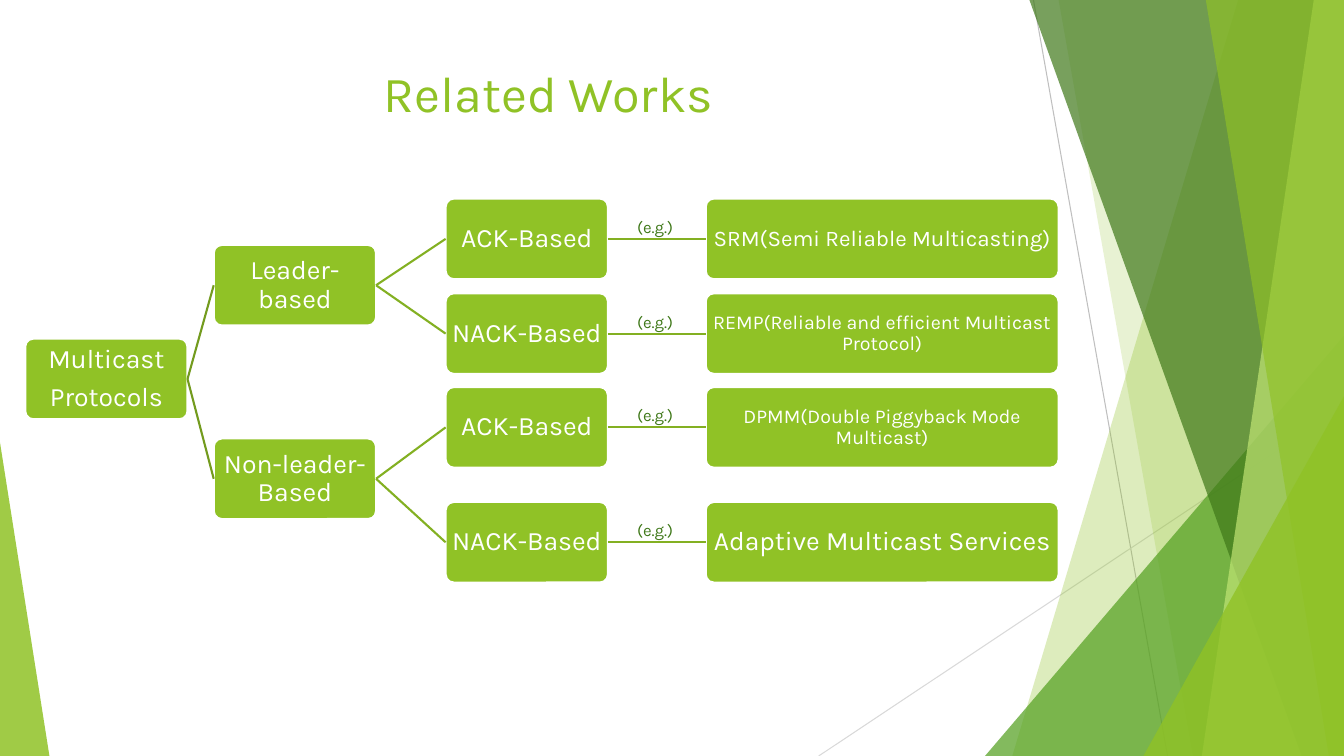
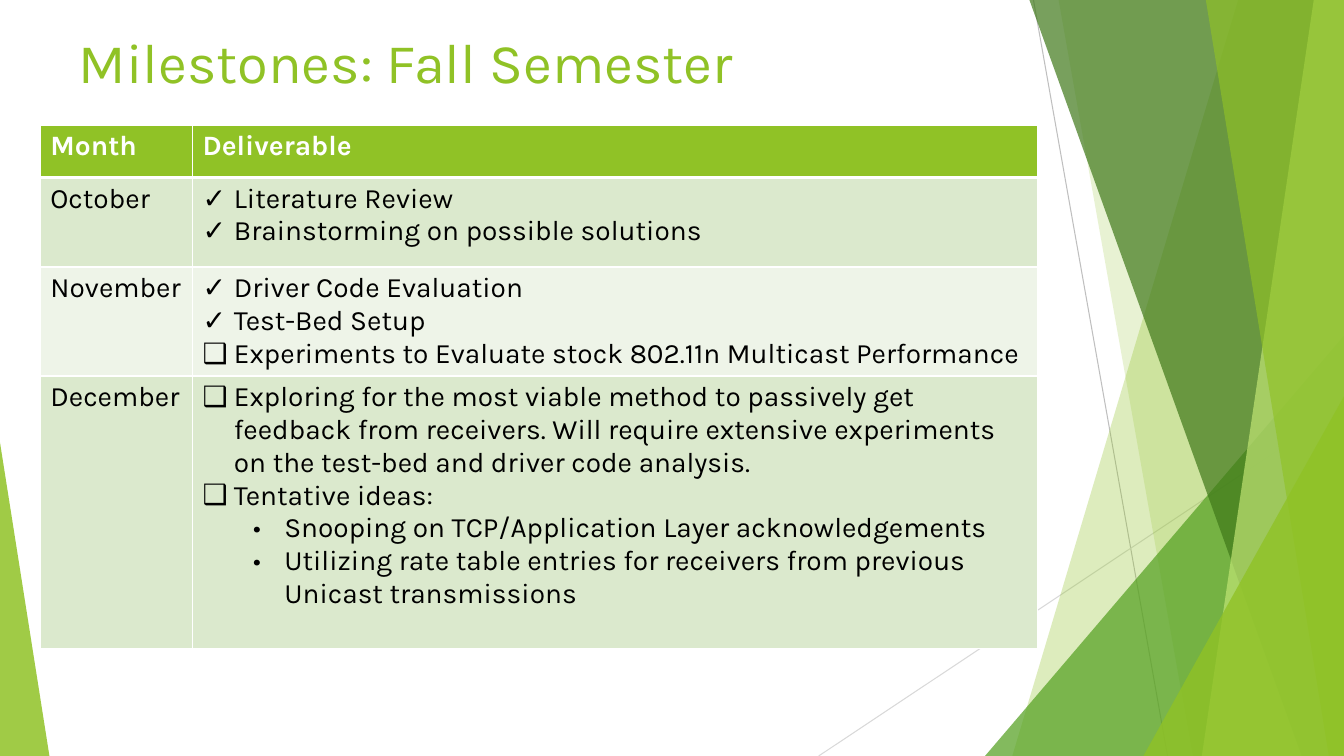
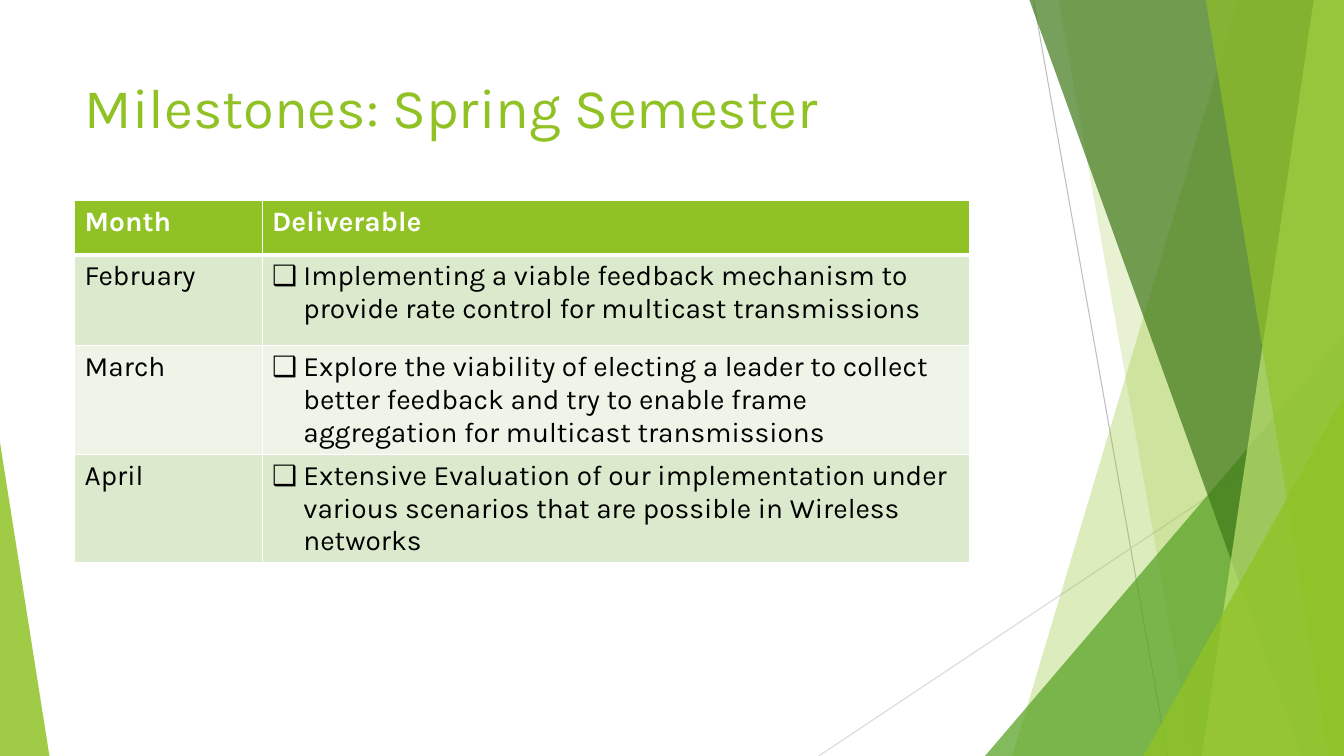
"""Build three slides on multicast protocols and project milestones."""
from lxml import etree
from pptx import Presentation
from pptx.dml.color import RGBColor
from pptx.enum import shapes, text
from pptx.oxml import ns
from pptx.util import Inches, Pt

FONT = "Karla"
GREEN, DARK_GREEN, WHITE, BLACK = "90C226", "3F7819", "FFFFFF", "000000"
ROOT_LINK, BRANCH_LINK = "739B1E", "83B022"
ODD_BAND, EVEN_BAND = "DBE9CD", "EEF4E8"
WIDTH, HEIGHT = 13.33, 7.5
DONE, OPEN, IDEA = "✓", "❑", "•"


def colour(hex_code):
    return RGBColor.from_string(hex_code)


def set_font(paragraph, size, hex_code, bold=False):
    for run in paragraph.runs:
        run.font.name, run.font.size, run.font.bold = FONT, Pt(size), bold
        run.font.color.rgb = colour(hex_code)


presentation = Presentation()
presentation.slide_width, presentation.slide_height = Inches(WIDTH), Inches(HEIGHT)
layout = presentation.slide_layouts[5]
for placeholder in list(layout.placeholders):
    if placeholder.placeholder_format.idx != 0:
        layout.shapes.element.remove(placeholder.element)

titles = [
    ("Related Works", 0.74, 0.57, 36, text.PP_ALIGN.CENTER),
    ("Milestones: Fall Semester", 0.68, 0.22, 40, text.PP_ALIGN.LEFT),
    ("Milestones: Spring Semester", 0.74, 0.67, 40, text.PP_ALIGN.LEFT),
]
slides = []
for wording, left, top, size, alignment in titles:
    slide = presentation.slides.add_slide(layout)
    title = slide.shapes.title
    title.left, title.top = Inches(left), Inches(top)
    title.width, title.height = Inches(9.4), Inches(1.44)
    frame = title.text_frame
    frame.text = wording
    frame.auto_size = text.MSO_AUTO_SIZE.NONE
    frame.vertical_anchor = text.MSO_ANCHOR.TOP
    frame.paragraphs[0].alignment = alignment
    set_font(frame.paragraphs[0], size, GREEN)
    slides.append(slide)
tree_slide, fall_slide, spring_slide = slides

connectors = []
backdrop = []
rays = [
    (10.25, 0, 11.58, HEIGHT, "BFBFBF"),
    (WIDTH, 4.03, 8.12, HEIGHT, "D9D9D9"),
]
for start_x, start_y, end_x, end_y, shade in rays:
    ray = tree_slide.shapes.add_connector(
        shapes.MSO_CONNECTOR.STRAIGHT,
        Inches(start_x), Inches(start_y), Inches(end_x), Inches(end_y))
    connectors.append((ray, shade, 0.75))
    backdrop.append(ray)

facets = [
    ("panel", (12.28, 10.04), GREEN, 30),
    ("panel", (10.5, 11.83), GREEN, 20),
    ("triangle", (9.77, 3.33, 3.56, 1), "54A021", 72),
    ("panel", (10.21, 12.91), DARK_GREEN, 70),
    ("panel", (13.03, 11.92), "C0E474", 70),
    ("panel", (11.96, 13.18), GREEN, 65),
    ("triangle", (11.34, 3.93, 1.99, 1), GREEN, 80),
    ("triangle", (0, 4.39, 0.49, 0), GREEN, 85),
]
for kind, geometry, shade, opacity in facets:
    if kind == "panel":
        top_left, bottom_left = geometry
        corners = [(WIDTH, 0), (WIDTH, HEIGHT), (bottom_left, HEIGHT)]
        builder = tree_slide.shapes.build_freeform(Inches(top_left), Inches(0))
        builder.add_line_segments([(Inches(x), Inches(y)) for x, y in corners], close=True)
        facet = builder.convert_to_shape()
    else:
        left, top, width, tip = geometry
        facet = tree_slide.shapes.add_shape(
            shapes.MSO_SHAPE.ISOSCELES_TRIANGLE,
            Inches(left), Inches(top), Inches(width), Inches(HEIGHT - top))
        facet.adjustments[0] = tip
    facet.shadow.inherit = False
    facet.fill.solid()
    facet.fill.fore_color.rgb = colour(shade)
    facet.line.fill.background()
    fill_colour = facet.element.find(".//" + ns.qn("a:srgbClr"))
    etree.SubElement(fill_colour, ns.qn("a:alpha"), val=str(opacity * 1000))
    backdrop.append(facet)
for shape in backdrop:
    layout.shapes.element.append(shape.element)

ROOT, LEADERSHIP, FEEDBACK, EXAMPLE = range(4)
columns = [(0.25, 1.61), (2.12, 1.61), (4.42, 1.61), (7, 3.5)]
feedback_tops = [1.97, 2.91, 3.84, 4.98]
nodes = [
    ("Multicast\nProtocols", ROOT, 3.36, 19, None),
    ("Leader-based", LEADERSHIP, 2.43, 19, 0),
    ("Non-leader-Based", LEADERSHIP, 4.35, 19, 0),
]
for index, top in enumerate(feedback_tops):
    nodes.append((("ACK-Based", "NACK-Based")[index % 2], FEEDBACK, top, 19, 1 + index // 2))
examples = [
    ("SRM(Semi Reliable Multicasting)", 16),
    ("REMP(Reliable and efficient Multicast Protocol)", 14),
    ("DPMM(Double Piggyback Mode Multicast)", 14),
    ("Adaptive Multicast Services", 19),
]
for index, (wording, size) in enumerate(examples):
    nodes.append((wording, EXAMPLE, feedback_tops[index], size, 3 + index))

boxes = []
for wording, level, top, size, parent in nodes:
    left, width = columns[level]
    box = tree_slide.shapes.add_shape(
        shapes.MSO_SHAPE.ROUNDED_RECTANGLE,
        Inches(left), Inches(top), Inches(width), Inches(0.8))
    box.adjustments[0] = 0.1
    box.shadow.inherit = False
    box.fill.solid()
    box.fill.fore_color.rgb = colour(GREEN)
    box.line.color.rgb = colour(WHITE)
    box.line.width = Pt(1.5)
    frame = box.text_frame
    frame.text = wording
    frame.word_wrap = True
    frame.vertical_anchor = text.MSO_ANCHOR.MIDDLE
    frame.margin_left = frame.margin_right = Inches(0.01)
    frame.margin_top = frame.margin_bottom = Inches(0.01)
    for paragraph in frame.paragraphs:
        paragraph.alignment = text.PP_ALIGN.CENTER
        paragraph.line_spacing = 0.9
        paragraph.space_after = Pt(7)
        set_font(paragraph, size, WHITE)
    boxes.append(box)
    if level != ROOT:
        link = tree_slide.shapes.add_connector(shapes.MSO_CONNECTOR.STRAIGHT, 0, 0, 0, 0)
        link.begin_connect(boxes[parent], 3)
        link.end_connect(box, 1)
        connectors.append((link, ROOT_LINK if level == LEADERSHIP else BRANCH_LINK, 1.5))
    if level == EXAMPLE:
        label = tree_slide.shapes.add_textbox(
            Inches(6.22), Inches(top + 0.13), Inches(0.68), Inches(0.3))
        label.text_frame.text = "(e.g.)"
        label.text_frame.word_wrap = True
        set_font(label.text_frame.paragraphs[0], 12, DARK_GREEN)

for connector, shade, thickness in connectors:
    connector.line.color.rgb = colour(shade)
    connector.line.width = Pt(thickness)
    shape_properties = connector.element.find(ns.qn("p:spPr"))
    etree.SubElement(shape_properties, ns.qn("a:effectLst"))

header = ("Month", [(None, "Deliverable")])
fall_rows = [
    header,
    ("October", [
        (DONE, "Literature Review"),
        (DONE, "Brainstorming on possible solutions"),
    ]),
    ("November", [
        (DONE, "Driver Code Evaluation"),
        (DONE, "Test-Bed Setup"),
        (OPEN, "Experiments to Evaluate stock 802.11n Multicast Performance"),
    ]),
    ("December", [
        (OPEN, "Exploring for the most viable method to passively get feedback from receivers. "
               "Will require extensive experiments on the test-bed and driver code analysis."),
        (OPEN, "Tentative ideas:"),
        (IDEA, "Snooping on TCP/Application Layer acknowledgements"),
        (IDEA, "Utilizing rate table entries for receivers from previous Unicast transmissions"),
    ]),
]
spring_rows = [
    header,
    ("February", [
        (OPEN, "Implementing a viable feedback mechanism to provide rate control "
               "for multicast transmissions"),
    ]),
    ("March", [
        (OPEN, "Explore the viability of electing a leader to collect better feedback "
               "and try to enable frame aggregation for multicast transmissions"),
    ]),
    ("April", [
        (OPEN, "Extensive Evaluation of our implementation under various scenarios "
               "that are possible in Wireless networks"),
    ]),
]
tables = [
    (fall_slide, 0.4, 1.24, (1.51, 8.38), (0.52, 0.89, 1.08, 2.7), fall_rows),
    (spring_slide, 0.74, 1.99, (1.86, 7.02), (0.54, 0.9, 1.08, 1.06), spring_rows),
]
for slide, left, top, widths, heights, rows in tables:
    table = slide.shapes.add_table(
        len(rows), len(widths), Inches(left), Inches(top),
        Inches(sum(widths)), Inches(sum(heights))).table
    for column, width in zip(table.columns, widths):
        column.width = Inches(width)
    for row_index, (month, deliverables) in enumerate(rows):
        table.rows[row_index].height = Inches(heights[row_index])
        is_header = row_index == 0
        if is_header:
            band, ink = GREEN, WHITE
        else:
            band, ink = (EVEN_BAND, ODD_BAND)[row_index % 2], BLACK
        for column_index, items in enumerate([[(None, month)], deliverables]):
            cell = table.cell(row_index, column_index)
            cell.fill.solid()
            cell.fill.fore_color.rgb = colour(band)
            cell.text_frame.text = "\n".join(wording for _, wording in items)
            for paragraph, (bullet, _) in zip(cell.text_frame.paragraphs, items):
                set_font(paragraph, 20, ink, bold=is_header)
                if bullet:
                    paragraph.level = int(bullet == IDEA)
                    paragraph_properties = paragraph._p.get_or_add_pPr()
                    paragraph_properties.set("marL", str(Inches(0.31 + 0.5 * paragraph.level)))
                    paragraph_properties.set("indent", str(Inches(-0.31)))
                    etree.SubElement(paragraph_properties, ns.qn("a:buFont"), typeface=FONT)
                    etree.SubElement(paragraph_properties, ns.qn("a:buChar"), char=bullet)
            cell_properties = cell._tc.get_or_add_tcPr()
            for position, side in enumerate("LRTB"):
                thickness = 3 if (row_index, side) in [(0, "B"), (1, "T")] else 1
                border = etree.Element(ns.qn("a:ln" + side), w=str(Pt(thickness)))
                border_fill = etree.SubElement(border, ns.qn("a:solidFill"))
                etree.SubElement(border_fill, ns.qn("a:srgbClr"), val=WHITE)
                cell_properties.insert(position, border)

presentation.save("out.pptx")
